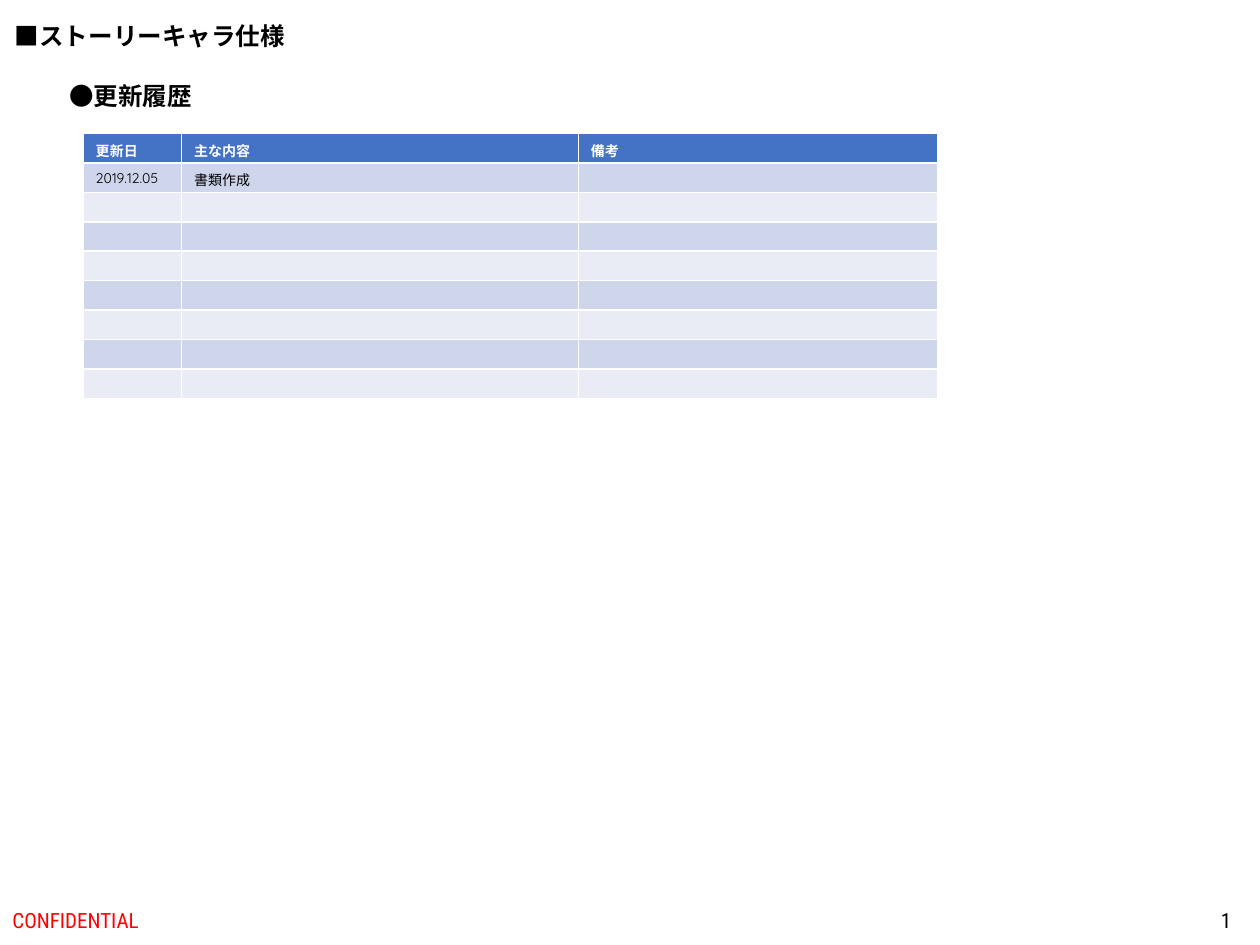
from pptx import Presentation
from pptx import util as u
from pptx.dml.color import RGBColor
from pptx.enum import text
from pptx.oxml.ns import qn
from lxml import etree

BLACK = RGBColor(0x00, 0x00, 0x00)
WHITE = RGBColor(0xFF, 0xFF, 0xFF)
RED = RGBColor(0xFF, 0x00, 0x00)
HEADER_BLUE = RGBColor(0x44, 0x72, 0xC4)
BANDS = (RGBColor(0xE9, 0xEB, 0xF5), RGBColor(0xCF, 0xD5, 0xEA))

HISTORY = [
    ("更新日", "主な内容", "備考"),
    ("2019.12.05", "書類作成", ""),
]
COLUMN_WIDTHS = (0.78, 3.15, 2.85)
ROW_COUNT = 9
TABLE_HEIGHT = 2.1
CELL_SIZE = 8


def style_paragraph(para, font_name, size, color, bold=False):
    font = para.font
    font.name = font_name
    font.size = u.Pt(size)
    font.color.rgb = color
    font.bold = bold


def add_text(slide, left, top, width, height, words):
    box = slide.shapes.add_textbox(
        u.Inches(left), u.Inches(top), u.Inches(width), u.Inches(height))
    para = box.text_frame.paragraphs[0]
    para.text = words
    return box.text_frame, para


def add_heading(slide, left, top, width, words, font_name):
    frame, para = add_text(slide, left, top, width, 0.34, words)
    frame.word_wrap = False
    frame.auto_size = text.MSO_AUTO_SIZE.SHAPE_TO_FIT_TEXT
    style_paragraph(para, font_name, 14, BLACK, bold=True)


def add_footer(slide, left, width, words, color, align):
    frame, para = add_text(slide, left, 7.1, width, 0.4, words)
    frame.word_wrap = True
    frame.vertical_anchor = text.MSO_ANCHOR.MIDDLE
    para.alignment = align
    style_paragraph(para, "Roboto Condensed", 12, color)


def fill_cell(cell, words, row):
    is_header = row == 0
    cell.fill.solid()
    cell.fill.fore_color.rgb = HEADER_BLUE if is_header else BANDS[row % 2]
    para = cell.text_frame.paragraphs[0]
    para.text = words
    style_paragraph(para, "Quicksand", CELL_SIZE,
                    WHITE if is_header else BLACK, bold=is_header)
    if not words:
        end = etree.SubElement(para._p, qn("a:endParaRPr"))
        end.set("sz", str(CELL_SIZE * 100))


def add_history_table(slide):
    table = slide.shapes.add_table(
        ROW_COUNT, len(COLUMN_WIDTHS), u.Inches(0.66), u.Inches(1.06),
        u.Inches(sum(COLUMN_WIDTHS)), u.Inches(TABLE_HEIGHT)).table
    for column, width in zip(table.columns, COLUMN_WIDTHS):
        column.width = u.Inches(width)
    blank_row = ("",) * len(COLUMN_WIDTHS)
    for row in range(ROW_COUNT):
        entries = HISTORY[row] if row < len(HISTORY) else blank_row
        for column, words in enumerate(entries):
            fill_cell(table.cell(row, column), words, row)


def main():
    deck = Presentation()
    deck.slide_width = u.Inches(10)
    deck.slide_height = u.Inches(7.5)
    slide = deck.slides.add_slide(deck.slide_layouts[6])
    add_heading(slide, 0.02, 0.12, 2.36, "■ストーリーキャラ仕様", "Arial")
    add_footer(slide, 0, 3.38, "CONFIDENTIAL", RED, text.PP_ALIGN.LEFT)
    add_footer(slide, 7.62, 2.25, "1", BLACK, text.PP_ALIGN.RIGHT)
    add_heading(slide, 0.45, 0.59, 1.18, "●更新履歴", "Quicksand")
    add_history_table(slide)
    deck.save("out.pptx")


if __name__ == "__main__":
    main()
